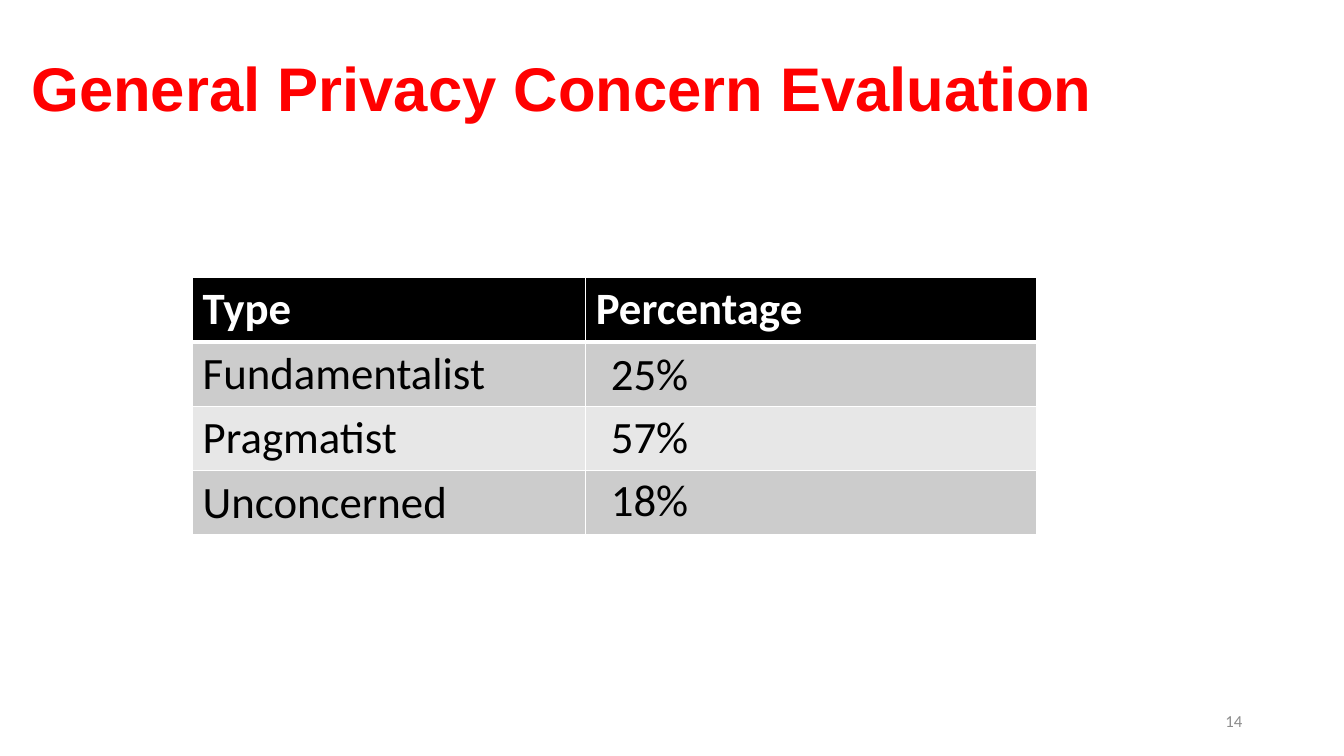
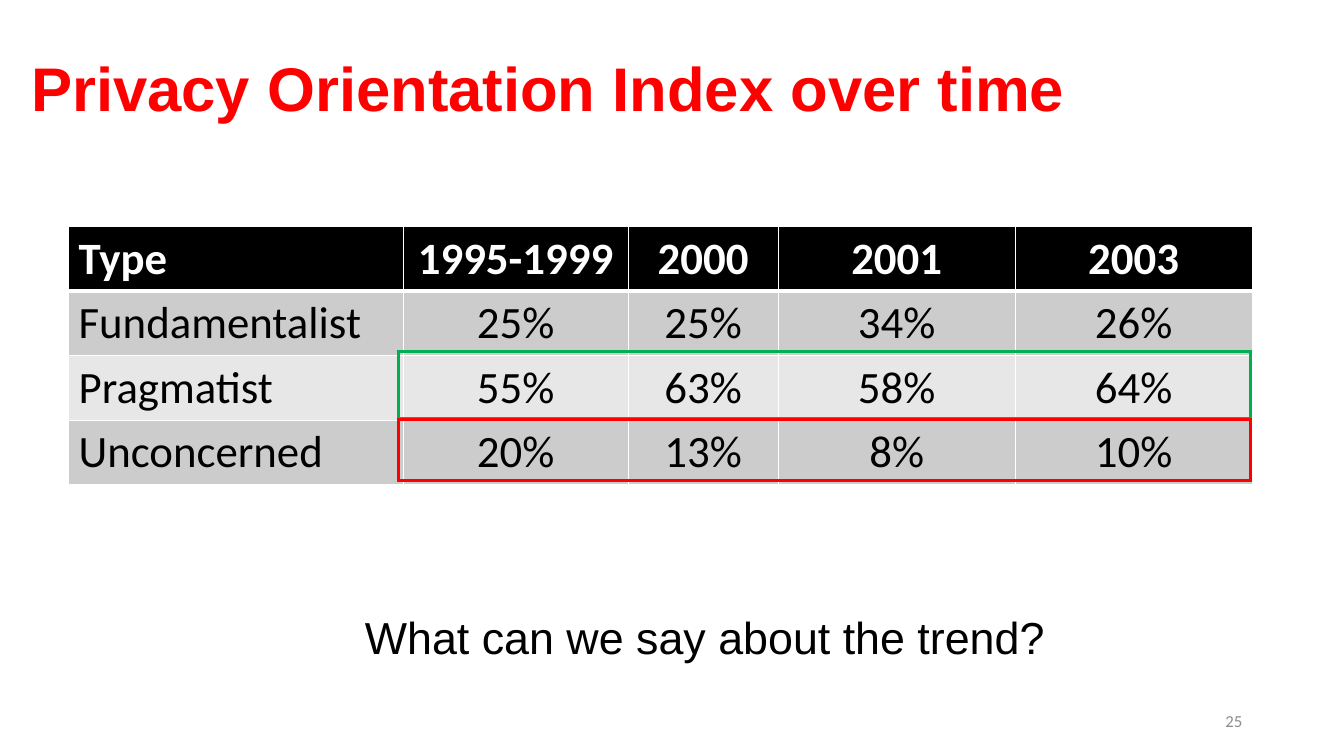
from lxml import etree
from pptx import Presentation
from pptx.dml.color import RGBColor
from pptx.enum.shapes import MSO_SHAPE
from pptx.enum.text import MSO_ANCHOR, PP_ALIGN
from pptx.oxml.ns import qn
from pptx.util import Inches, Pt

FRAME = MSO_SHAPE.FRAME
TOP, MIDDLE = MSO_ANCHOR.TOP, MSO_ANCHOR.MIDDLE
LEFT, CENTER, RIGHT = PP_ALIGN.LEFT, PP_ALIGN.CENTER, PP_ALIGN.RIGHT

WHITE = RGBColor(0xFF, 0xFF, 0xFF)
BLACK = RGBColor(0x00, 0x00, 0x00)
RED = RGBColor(0xFF, 0x00, 0x00)
GREEN = RGBColor(0x00, 0xB0, 0x50)
DARK_BAND = RGBColor(0xCC, 0xCC, 0xCC)
LIGHT_BAND = RGBColor(0xE7, 0xE7, 0xE7)
NUMBER_GRAY = RGBColor(0x8C, 0x8C, 0x8C)

HEADING_FONT, BODY_FONT = "Arial", "Calibri"
BODY_SIZE = 32

# Every box is left, top, width, height on a grid of 100 columns and 100 rows
SLIDE_W, SLIDE_H = Inches(13.33), Inches(7.5)
COL, ROW = SLIDE_W / 100, SLIDE_H / 100
TITLE_BOX = (1.58, 2.4, 86.27, 19.33)
NUMBER_BOX = (70.67, 92.67, 22.5, 5.33)
LINE_H = 8.53  # one line of body text, also one table row

TYPES = ["Fundamentalist", "Pragmatist", "Unconcerned"]


def place(box):
    left, top, width, height = box
    return [round(v) for v in (left * COL, top * ROW, width * COL, height * ROW)]


def style(paragraph, font_name, size, color, bold=False, align=LEFT):
    paragraph.alignment = align
    font = paragraph.font
    font.name, font.size, font.bold = font_name, Pt(size), bold
    font.color.rgb = color


def add_text(slide, box, text, font_name, size, color, bold=False,
             align=LEFT, anchor=TOP, wrap=False):
    frame = slide.shapes.add_textbox(*place(box)).text_frame
    frame.word_wrap = wrap
    frame.vertical_anchor = anchor
    frame.text = text
    paragraph = frame.paragraphs[0]
    style(paragraph, font_name, size, color, bold, align)
    return paragraph


def set_borders(cell, top, bottom):
    """White cell borders; top and bottom widths in points."""
    properties = cell._tc.get_or_add_tcPr()
    for side, width in (("L", 1), ("R", 1), ("T", top), ("B", bottom)):
        line = etree.SubElement(properties, qn(f"a:ln{side}"), w=str(Pt(width)))
        fill = etree.SubElement(line, qn("a:solidFill"))
        etree.SubElement(fill, qn("a:srgbClr"), val=str(WHITE))


def add_banded_table(slide, box, col_shares, rows, value_align=LEFT):
    """Black header over gray bands; columns share the width of the box."""
    left, top, width, height = place(box)
    table = slide.shapes.add_table(len(rows), len(col_shares),
                                   left, top, width, height).table
    for column, share in zip(table.columns, col_shares):
        column.width = round(width * share / sum(col_shares))
    for r, values in enumerate(rows):
        is_header = r == 0
        band = BLACK if is_header else DARK_BAND if r % 2 else LIGHT_BAND
        for c, value in enumerate(values):
            cell = table.cell(r, c)
            set_borders(cell, top=3 if r == 1 else 1, bottom=3 if is_header else 1)
            cell.fill.solid()
            cell.fill.fore_color.rgb = band
            cell.text = value
            style(cell.text_frame.paragraphs[0], BODY_FONT, BODY_SIZE,
                  WHITE if is_header else BLACK, is_header,
                  value_align if c else LEFT)


def add_highlight(slide, box, color):
    highlight = slide.shapes.add_shape(FRAME, *place(box))
    highlight.adjustments[0] = 0.025
    highlight.shadow.inherit = False
    highlight.fill.solid()
    highlight.fill.fore_color.rgb = color
    highlight.line.color.rgb = color
    highlight.line.width = Pt(1)


def add_base_slide(prs, title, number):
    """Blank slide with the shared title and slide number."""
    slide = prs.slides.add_slide(prs.slide_layouts[6])
    heading = add_text(slide, TITLE_BOX, title, HEADING_FONT, 44, RED,
                       bold=True, anchor=MIDDLE, wrap=True)
    heading.line_spacing = 0.9
    add_text(slide, NUMBER_BOX, str(number), BODY_FONT, 12, NUMBER_GRAY,
             align=RIGHT, anchor=MIDDLE, wrap=True)
    return slide


def build_evaluation(prs):
    slide = add_base_slide(prs, "General Privacy Concern Evaluation", 14)
    rows = [["Type", "Percentage"]] + [[kind, ""] for kind in TYPES]
    add_banded_table(slide, (14.33, 36.67, 62.79, LINE_H * len(rows)),
                     [3.9, 4.47], rows)
    # Percentages set over the second column
    for i, percentage in enumerate(["25%", "57%", "18%"]):
        add_text(slide, (44.71, 45.07 + 8.33 * i, 7.35, LINE_H), percentage,
                 BODY_FONT, BODY_SIZE, BLACK)


def build_trend(prs):
    slide = add_base_slide(prs, "Privacy Orientation Index over time", 25)
    shares = [["25%", "25%", "34%", "26%"],
              ["55%", "63%", "58%", "64%"],
              ["20%", "13%", "8%", "10%"]]
    rows = [["Type", "1995-1999", "2000", "2001", "2003"]]
    rows += [[kind, *values] for kind, values in zip(TYPES, shares)]
    add_banded_table(slide, (5.1, 30, 88.07, LINE_H * len(rows)),
                     [3.32, 2.23, 1.49, 2.35, 2.35], rows, CENTER)
    # Frames around the last two rows of values
    for top, height, color in ((46.4, 9.07, GREEN), (55.33, 8.4, RED)):
        add_highlight(slide, (29.56, top, 63.54, height), color)
    # Closing question
    add_text(slide, (26.41, 80, 52.5, LINE_H), "What can we say about the trend?",
             HEADING_FONT, BODY_SIZE, BLACK)


def main():
    prs = Presentation()
    prs.slide_width, prs.slide_height = SLIDE_W, SLIDE_H
    build_evaluation(prs)
    build_trend(prs)
    prs.save("out.pptx")


if __name__ == "__main__":
    main()
